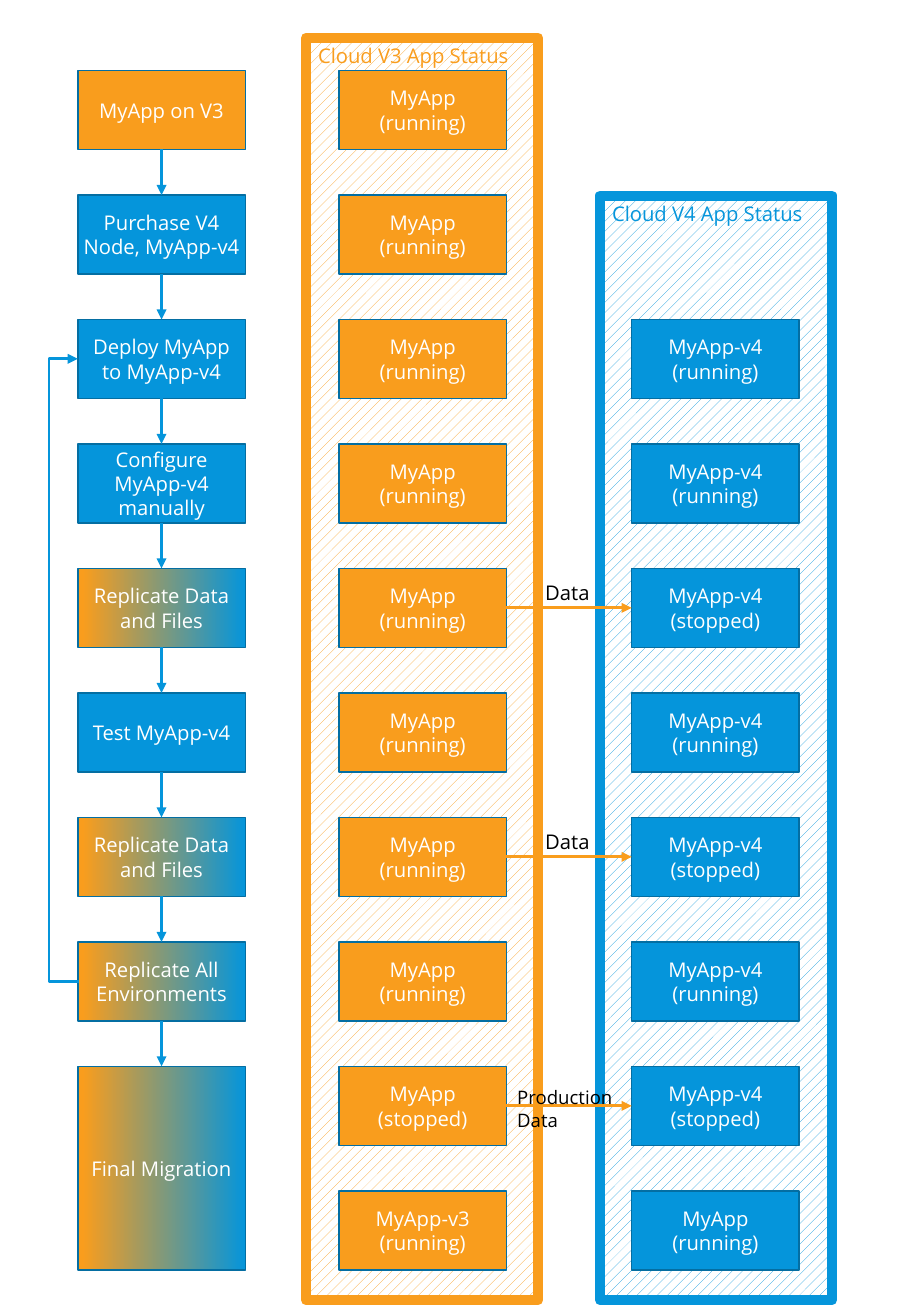
from lxml.etree import SubElement
from pptx import Presentation
from pptx.dml.color import RGBColor
from pptx.enum.dml import MSO_PATTERN
from pptx.enum.shapes import MSO_CONNECTOR, MSO_SHAPE
from pptx.enum.text import MSO_ANCHOR, PP_ALIGN
from pptx.oxml.ns import qn
from pptx.util import Inches, Pt

ORANGE = RGBColor(0xF9, 0x9D, 0x1D)
BLUE = RGBColor(0x05, 0x95, 0xDB)
EDGE = RGBColor(0x04, 0x6E, 0xA2)
WHITE = RGBColor(0xFF, 0xFF, 0xFF)
BLACK = RGBColor(0, 0, 0)

BOX_W, BOX_H = 1.38, 0.65
TOP, LAST = 0.58, 9.8
PITCH = (LAST - TOP) / 9
STEP_X, OLD_X, NEW_X = 0.64, 2.79, 5.2
PANEL_W, PANEL_END = 1.91, 10.7

STEPS = [
    ("MyApp on V3", ORANGE),
    ("Purchase V4 Node, MyApp-v4", BLUE),
    ("Deploy MyApp to MyApp-v4", BLUE),
    ("Configure MyApp-v4 manually", BLUE),
    ("Replicate Data and Files", None),
    ("Test MyApp-v4", BLUE),
    ("Replicate Data and Files", None),
    ("Replicate All Environments", None),
    ("Final Migration", None),
]
OLD_APPS = ["MyApp\n(running)"] * 8 + ["MyApp\n(stopped)", "MyApp-v3\n(running)"]
NEW_APPS = ["MyApp-v4\n(running)", "MyApp-v4\n(running)",
            "MyApp-v4\n(stopped)", "MyApp-v4\n(running)"]
NEW_APPS += NEW_APPS[2:] + ["MyApp-v4\n(stopped)", "MyApp\n(running)"]


def row_top(row):
    return TOP + row * PITCH


def row_mid(row):
    return row_top(row) + BOX_H / 2


def write(shape, text, size=12, color=WHITE, align=PP_ALIGN.LEFT,
          anchor=MSO_ANCHOR.TOP, inset=None):
    frame = shape.text_frame
    frame.word_wrap = True
    frame.vertical_anchor = anchor
    if inset is not None:
        frame.margin_left = frame.margin_right = Inches(inset)
        frame.margin_top = frame.margin_bottom = Inches(inset)
    frame.text = text
    for para in frame.paragraphs:
        para.alignment = align
        font = para.runs[0].font
        font.name, font.size = "Open Sans", Pt(size)
        font.color.rgb = color


def add_box(slide, x, y, w, h, edge, weight):
    box = slide.shapes.add_shape(MSO_SHAPE.FLOWCHART_PROCESS,
                                 Inches(x), Inches(y), Inches(w), Inches(h))
    box.shadow.inherit = False
    box.line.color.rgb = edge
    box.line.width = Pt(weight)
    return box


def add_node(slide, x, y, text, color, h=BOX_H):
    node = add_box(slide, x, y, BOX_W, h, EDGE, 1)
    if color is None:
        node.fill.gradient()
        node.fill.gradient_angle = 0
        for stop, (place, shade) in zip(node.fill.gradient_stops,
                                        [(0.03, ORANGE), (1, BLUE)]):
            stop.position = place
            stop.color.rgb = shade
    else:
        node.fill.solid()
        node.fill.fore_color.rgb = color
    write(node, text, align=PP_ALIGN.CENTER, anchor=MSO_ANCHOR.MIDDLE, inset=0.04)


def add_arrow(slide, x1, y1, x2, y2, color, kind=MSO_CONNECTOR.STRAIGHT):
    arrow = slide.shapes.add_connector(kind, Inches(x1), Inches(y1),
                                       Inches(x2), Inches(y2))
    arrow.line.color.rgb = color
    arrow.line.width = Pt(1.75)
    props = arrow.element.spPr
    SubElement(props.find(qn("a:ln")), qn("a:tailEnd"), type="triangle")
    SubElement(props, qn("a:effectLst"))
    return arrow


def add_steps(slide, x):
    mid = x + BOX_W / 2
    for row, (text, color) in enumerate(STEPS):
        tall = row == len(STEPS) - 1
        add_node(slide, x, row_top(row), text, color,
                 BOX_H + PITCH if tall else BOX_H)
        if row:
            add_arrow(slide, mid, row_top(row - 1) + BOX_H,
                      mid, row_top(row), BLUE)
    add_loop(slide, x, 7, 2)


def add_loop(slide, x, start, end):
    span, reach = 0.01, 0.25
    loop = add_arrow(slide, x + span, row_mid(start), x, row_mid(end),
                     BLUE, MSO_CONNECTOR.ELBOW)
    geom = loop.element.spPr.find(qn("a:prstGeom"))
    guides = geom.find(qn("a:avLst"))
    if guides is None:
        guides = SubElement(geom, qn("a:avLst"))
    SubElement(guides, qn("a:gd"), name="adj1",
               fmla=f"val {round(reach / span * 100000)}")


def add_panel(slide, x, y, title, color):
    panel = add_box(slide, x, y, PANEL_W, PANEL_END - y, color, 6)
    panel.fill.patterned()
    panel.fill.pattern = MSO_PATTERN.PERCENT_20
    panel.fill.fore_color.rgb = color
    panel.fill.back_color.rgb = WHITE
    write(panel, title, color=color)


def add_apps(slide, x, first, apps, color):
    for row, text in enumerate(apps, first):
        add_node(slide, x, row_top(row), text, color)


def add_link(slide, row, text, x, rise, w, h, size):
    y = row_mid(row)
    add_arrow(slide, OLD_X + BOX_W, y, NEW_X, y, ORANGE)
    label = slide.shapes.add_textbox(Inches(x), Inches(y - rise),
                                     Inches(w), Inches(h))
    write(label, text, size=size, color=BLACK)


def main():
    deck = Presentation()
    deck.slide_width, deck.slide_height = Inches(7.5), Inches(10.83)
    slide = deck.slides.add_slide(deck.slide_layouts[6])
    add_steps(slide, STEP_X)
    add_panel(slide, 2.52, 0.31, "Cloud V3 App Status", ORANGE)
    add_panel(slide, 4.94, 1.61, "Cloud V4 App Status", BLUE)
    add_apps(slide, OLD_X, 0, OLD_APPS, ORANGE)
    add_apps(slide, NEW_X, 2, NEW_APPS, BLUE)
    for row in (4, 6):
        add_link(slide, row, "Data", 4.39, 0.28, 0.73, 0.3, 12)
    add_link(slide, 8, "Production Data", 4.16, 0.21, 1.04, 0.47, 11)
    deck.save("out.pptx")


if __name__ == "__main__":
    main()
